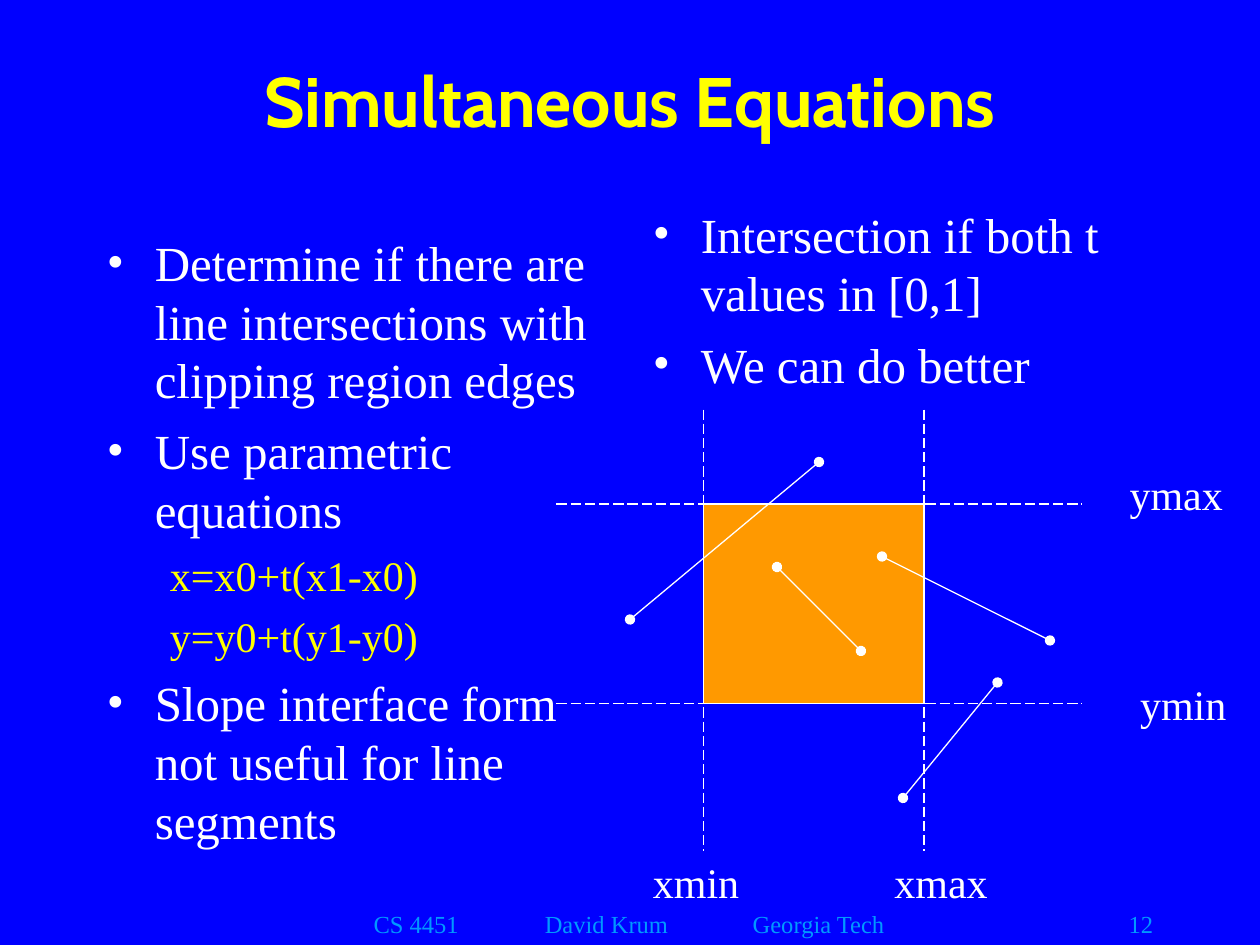
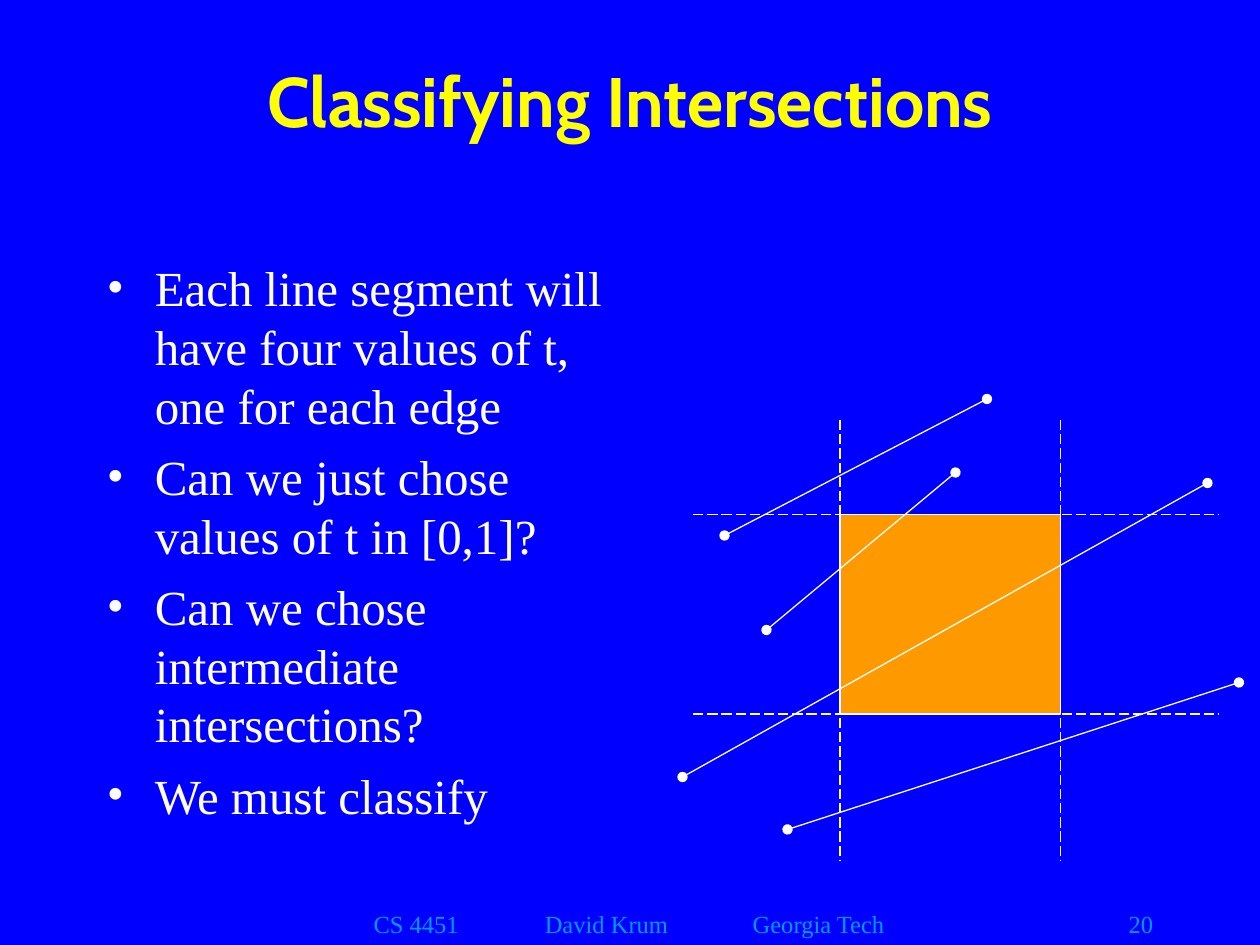
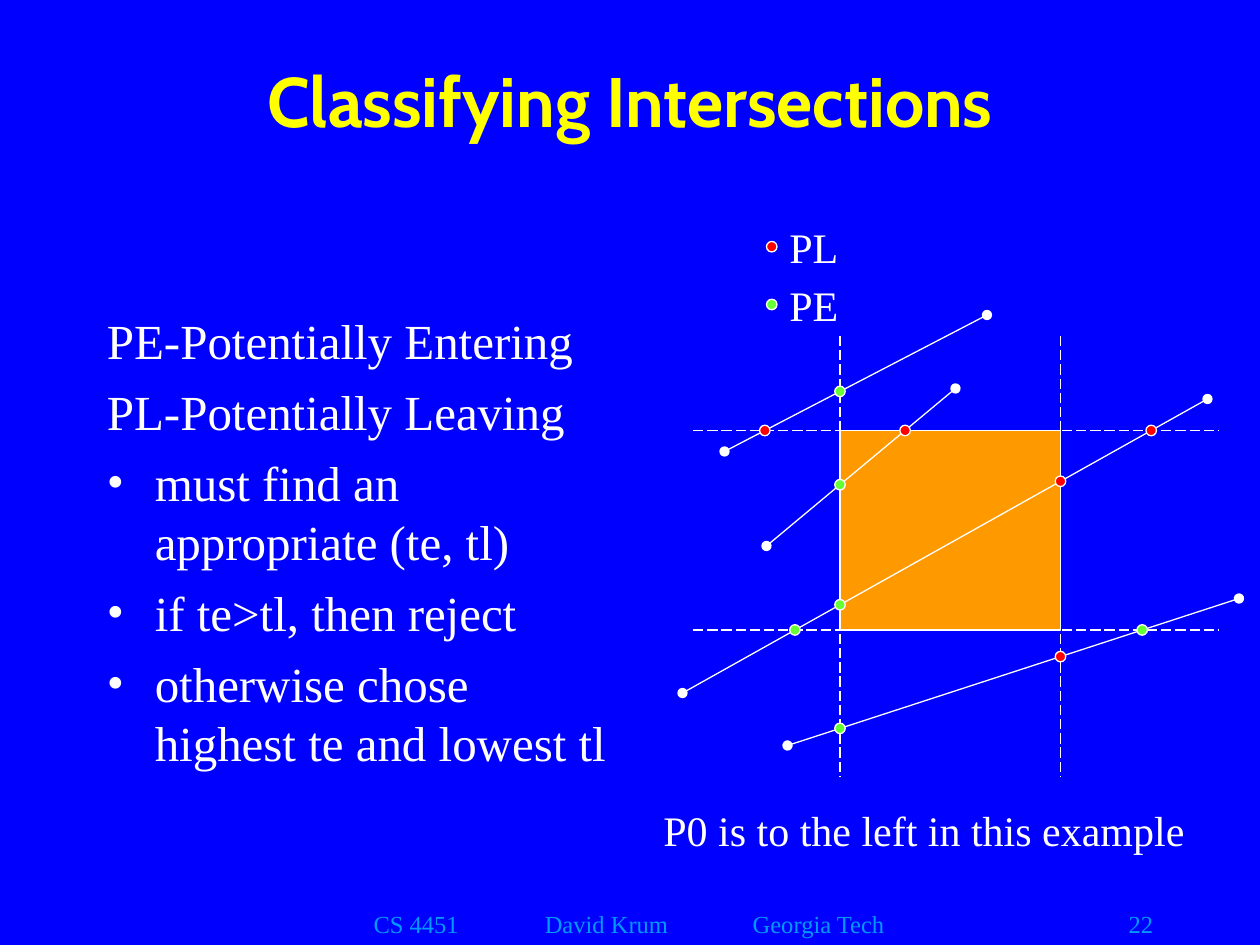
from lxml import etree
from pptx import Presentation, util as u
from pptx.dml.color import RGBColor
from pptx.enum import dml, shapes, text
from pptx.oxml.ns import qn

HUES = {"back": "0000FF", "title": "FFFF00", "text": "FFFFFF", "foot": "0099FF",
        "clip": "FF9900", "enter": "66FF33", "leave": "FF0000"}
SERIF = "Times New Roman"
WIDE, HIGH = 21, 19  # clip window, in columns and rows

# Paragraph kinds: left margin, first indent, size, space before, colour, bullet
KINDS = {"dot": (0.38, -0.38, 28, 7, "text", True),
         "term": (0.38, -0.38, 28, 7, "text", False),
         "math": (0.81, -0.31, 24, 6, "title", False),
         "label": (0, 0, 24, 0, "text", False),
         "foot": (0, 0, 14, 0, "foot", False),
         "title": (0, 0, 40, 0, "title", False)}

prs = Presentation()
prs.slide_width, prs.slide_height = u.Inches(10), u.Inches(7.5)
COL, ROW = prs.slide_width / 120, prs.slide_height / 90
back = prs.slide_master.background.fill
back.solid()
back.fore_color.rgb = RGBColor.from_string(HUES["back"])


def write(slide, area, paras, anchor="TOP", align="LEFT", top=0.05):
    """Add a text box; area is in grid units, paras are (kind, text) pairs."""
    x, y, w, h = area
    frame = slide.shapes.add_textbox(*map(round, (x * COL, y * ROW, w * COL, h * ROW))).text_frame
    frame.word_wrap = True
    frame.vertical_anchor = text.MSO_ANCHOR[anchor]
    frame.margin_top = u.Inches(top)
    for i, (kind, words) in enumerate(paras):
        mar, ind, size, gap, hue, dot = KINDS[kind]
        para = frame.add_paragraph() if i else frame.paragraphs[0]
        props = para._p.get_or_add_pPr()
        props.set("marL", str(u.Inches(mar)))
        props.set("indent", str(u.Inches(ind)))
        if dot:
            tint = etree.SubElement(props, qn("a:buClr"))
            etree.SubElement(tint, qn("a:srgbClr"), val=HUES["text"])
            etree.SubElement(props, qn("a:buFont"), typeface=SERIF)
            etree.SubElement(props, qn("a:buChar"), char="•")
        else:
            etree.SubElement(props, qn("a:buNone"))
        para.alignment = text.PP_ALIGN[align]
        para.space_before = u.Pt(gap if i else 0)
        run = para.add_run()
        run.text = words
        run.font.size = u.Pt(size)
        run.font.name = "Cabin" if kind == "title" else SERIF
        run.font.bold = kind == "title"
        run.font.color.rgb = RGBColor.from_string(HUES[hue])


def draw(slide, kind, x, y, a, b, hue=None):
    """Add a "dash" or "seg" line from (x, y) to (a, b), or a filled shape sized a by b."""
    spot = [round(n) for n in (x * COL, y * ROW, a * COL, b * ROW)]
    if kind in ("dash", "seg"):
        item = slide.shapes.add_connector(shapes.MSO_CONNECTOR.STRAIGHT, *spot)
        etree.SubElement(item._element.spPr, qn("a:effectLst"))
    else:
        item = slide.shapes.add_shape(shapes.MSO_SHAPE[kind], *spot)
        item.shadow.inherit = False
        item.fill.solid()
        item.fill.fore_color.rgb = RGBColor.from_string(HUES[hue])
    item.line.color.rgb = RGBColor.from_string(HUES["text"])
    item.line.width = u.Pt(0.75)
    if kind == "dash":
        item.line.dash_style = dml.MSO_LINE.LONG_DASH
    if kind == "seg":
        for end in ("headEnd", "tailEnd"):
            etree.SubElement(item.line._get_or_add_ln(), qn("a:" + end), type="oval")


# Segments start at P0 on the left; points count from the window's top left corner
cross = [(-11, 2, 14, -11), (-7, 11, 11, -4), (-15, 25, 35, -3), (-5, 30, 38, 16)]
pages = [
    {"title": "Simultaneous Equations", "num": "12", "clip": (67, 48),
     "segs": [(7, 6, 15, 14), (-7, 11, 11, -4), (17, 5, 33, 13), (19, 28, 28, 17)],
     "body": [("dot", "Determine if there are line intersections with clipping region edges"),
              ("dot", "Use parametric equations"),
              ("math", "x=x0+t(x1-x0)"),
              ("math", "y=y0+t(y1-y0)"),
              ("dot", "Slope interface form not useful for line segments")],
     "side": [("dot", "Intersection if both t values in [0,1]"), ("dot", "We can do better")],
     "labels": [(107.4, 64, 12, "ymin"), (106.4, 44, 12, "ymax"),
                (61, 81, 12, "xmin"), (84, 81, 12, "xmax")]},
    {"title": "Classifying Intersections", "num": "20", "clip": (80, 49), "segs": cross,
     "body": [("dot", "Each line segment will have four values of t, one for each edge"),
              ("dot", "Can we just chose values of t in [0,1]?"),
              ("dot", "Can we chose intermediate intersections?"),
              ("dot", "We must classify")]},
    {"title": "Classifying Intersections", "num": "22", "clip": (80, 41), "segs": cross,
     "body": [("term", "PE-Potentially Entering"),
              ("term", "PL-Potentially Leaving"),
              ("dot", "must find an appropriate (te, tl)"),
              ("dot", "if te>tl, then reject"),
              ("dot", "otherwise chose highest te and lowest tl")],
     "labels": [(74, 20.5, 9, "PL"), (74, 26, 9, "PE"),
                (62, 76, 55, "P0 is to the left in this example")],
     "keys": [(73, 23, "leave"), (73, 28.5, "enter")]},
]

for page in pages:
    slide = prs.slides.add_slide(prs.slide_layouts[6])
    write(slide, (9, 2, 102, 15), [("title", page["title"])], "MIDDLE", "CENTER")
    write(slide, (9, 18, 50, 67), page["body"], "MIDDLE")
    if "side" in page:
        write(slide, (61, 18, 50, 67), page["side"], top=0.12)

    # Clip window with its edges extended
    left, top = page["clip"]
    for y in (top, top + HIGH):
        draw(slide, "dash", left - 14, y, left + 36, y)
    for x in (left, left + WIDE):
        draw(slide, "dash", x, top - 9, x, top + 33)
    draw(slide, "RECTANGLE", left, top, WIDE, HIGH, "clip")
    for x, y, a, b in page["segs"]:
        draw(slide, "seg", left + x, top + y, left + a, top + b)

    # Crossings: left and bottom edges are entered, right and top are left
    if "keys" in page:
        for x, y, a, b in page["segs"]:
            hits = [((edge - x) / (a - x), hue) for edge, hue in ((0, "enter"), (WIDE, "leave"))]
            hits += [((edge - y) / (b - y), hue) for edge, hue in ((HIGH, "enter"), (0, "leave"))]
            for t, hue in hits:
                if 0 <= t <= 1:
                    draw(slide, "OVAL", left + x + t * (a - x) - 0.5,
                         top + y + t * (b - y) - 0.5, 1, 1, hue)
        for x, y, hue in page["keys"]:
            draw(slide, "OVAL", x, y, 1, 1, hue)

    for x, y, w, words in page.get("labels", []):
        write(slide, (x, y, w, 6), [("label", words)])
    for x, words in ((34.4, "CS 4451"), (50.7, "David Krum"), (70.5, "Georgia Tech")):
        write(slide, (x, 86, 16, 3), [("foot", words)])
    write(slide, (86, 86, 25, 3), [("foot", page["num"])], align="RIGHT")

prs.save("out.pptx")
